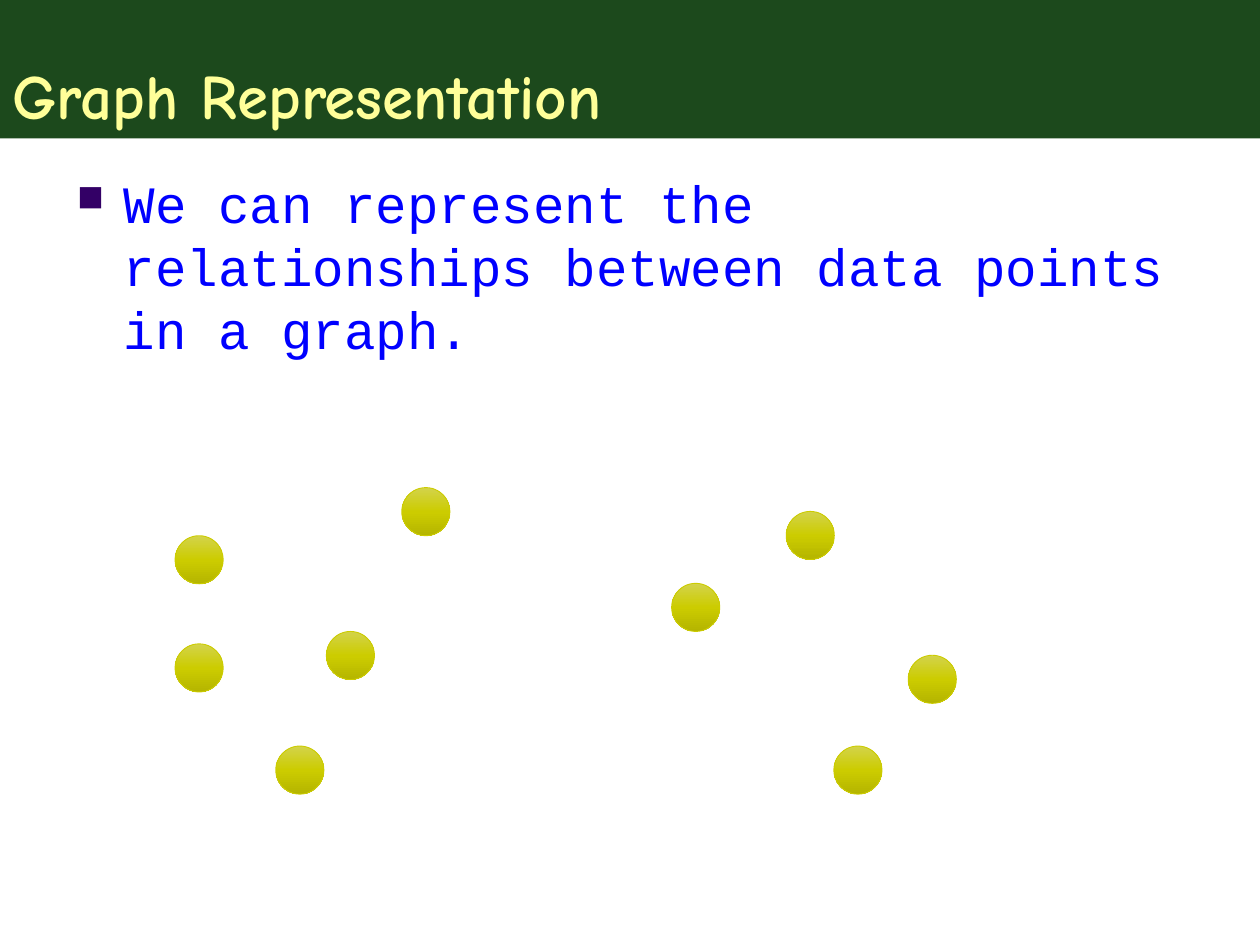
from lxml.etree import SubElement
from pptx import Presentation
from pptx.dml.color import RGBColor
from pptx.enum.shapes import MSO_SHAPE
from pptx.enum.text import MSO_ANCHOR, PP_ALIGN
from pptx.oxml.ns import qn
from pptx.util import Cm, Pt

HUES = {
    "band": "003300",
    "title": "FFFF99",
    "body": "0000FF",
    "mark": "330066",
    "light": "D3D34B",
    "node": "CCCC00",
    "dark": "B5B500",
}
SIZE = 0.97
NODES = [
    (3.53, 10.8), (3.53, 12.98), (6.58, 12.73),
    (8.1, 9.83), (13.54, 11.76), (15.85, 10.31),
    (18.31, 13.21), (16.81, 15.04), (5.56, 15.04),
]


def color(name):
    return RGBColor.from_string(HUES[name])


def add(node, tag, **attrs):
    return SubElement(node, qn(tag), attrs)


class Deck:
    def __init__(self, slide):
        self.slide = slide

    def shape(self, kind, *box):
        item = self.slide.shapes.add_shape(kind, *map(Cm, box))
        item.shadow.inherit = False
        return item

    def run(self, para, text, font, size, hue, bold=False):
        run = para.add_run()
        run.text = text
        run.font.name = font
        run.font.size = Pt(size)
        run.font.bold = bold
        run.font.color.rgb = color(hue)

    def title(self, text, *box):
        band = self.shape(MSO_SHAPE.RECTANGLE, *box)
        band.line.fill.background()
        band.fill.solid()
        band.fill.fore_color.rgb = color("band")
        tint = band.fill._xPr.find(qn("a:solidFill"))[0]
        add(tint, "a:alpha", val="89000")
        frame = band.text_frame
        frame.word_wrap = True
        frame.vertical_anchor = MSO_ANCHOR.BOTTOM
        para = frame.paragraphs[0]
        para.alignment = PP_ALIGN.LEFT
        self.run(para, text, "Comic Neue", 36, "title", True)

    def bullet(self, text, *box):
        frame = self.slide.shapes.add_textbox(*map(Cm, box)).text_frame
        frame.word_wrap = True
        para = frame.paragraphs[0]
        para.space_before = Pt(6)
        props = para._p.get_or_add_pPr()
        props.set("marL", str(Cm(0.95)))
        props.set("indent", str(Cm(-0.95)))
        add(add(props, "a:buClr"), "a:srgbClr", val=HUES["mark"])
        add(props, "a:buSzPct", val="70000")
        add(props, "a:buChar", char="■")
        self.run(para, text, "Courier New", 30, "body")

    def node(self, left, top):
        dot = self.shape(MSO_SHAPE.OVAL, left, top, SIZE, SIZE)
        dot.line.color.rgb = color("node")
        dot.line.width = Pt(0.5)
        dot.fill.gradient()
        grad = dot.fill._xPr.find(qn("a:gradFill"))
        stops = grad.find(qn("a:gsLst"))
        for stop in list(stops):
            stops.remove(stop)
        for part, hue in enumerate(("light", "node", "dark")):
            stop = add(stops, "a:gs", pos=str(part * 50000))
            add(stop, "a:srgbClr", val=HUES[hue])
        dot.fill.gradient_angle = 270


def main():
    show = Presentation()
    show.slide_width, show.slide_height = Cm(25.4), Cm(19.05)
    deck = Deck(show.slides.add_slide(show.slide_layouts[6]))
    deck.title("Graph Representation", 0, 0, 25.4, 2.79)
    deck.bullet(
        "We can represent the relationships between data points in a graph.",
        1.3, 3.33, 22.86, 14.6,
    )
    for spot in NODES:
        deck.node(*spot)
    show.save("out.pptx")


if __name__ == "__main__":
    main()
